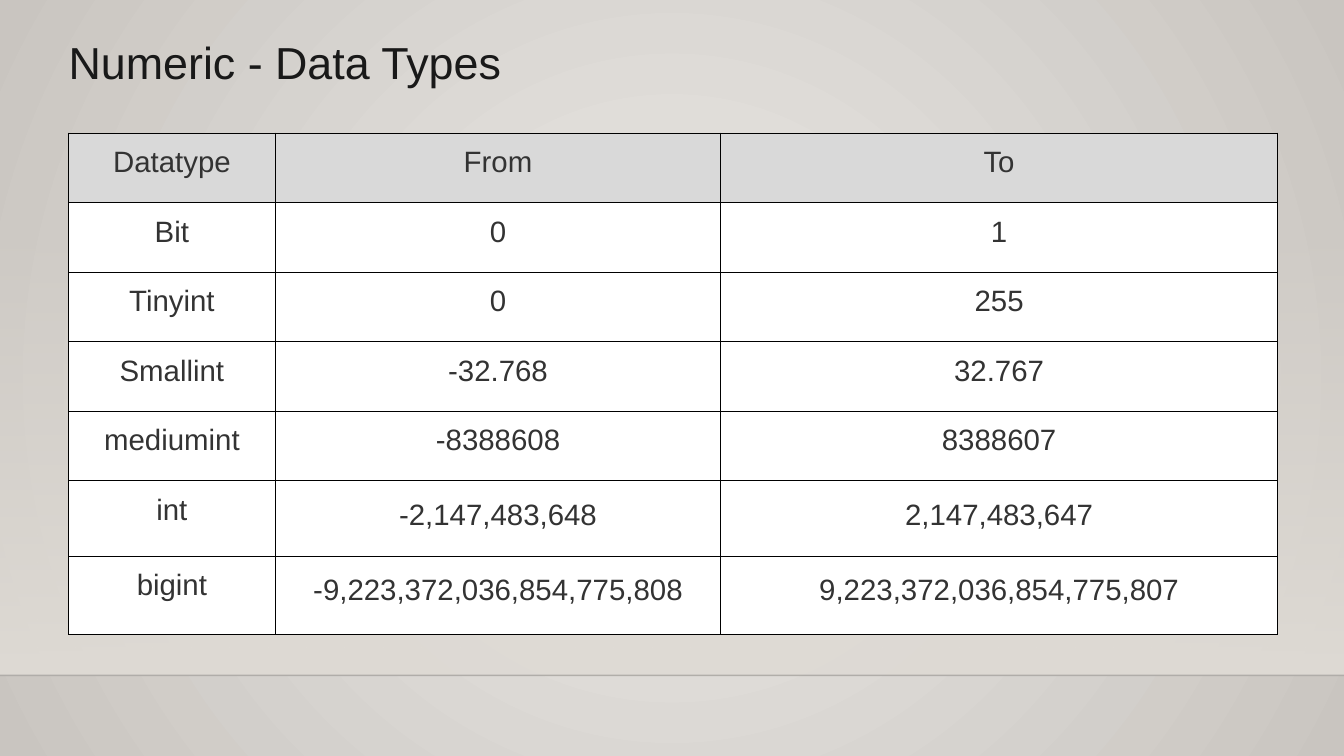
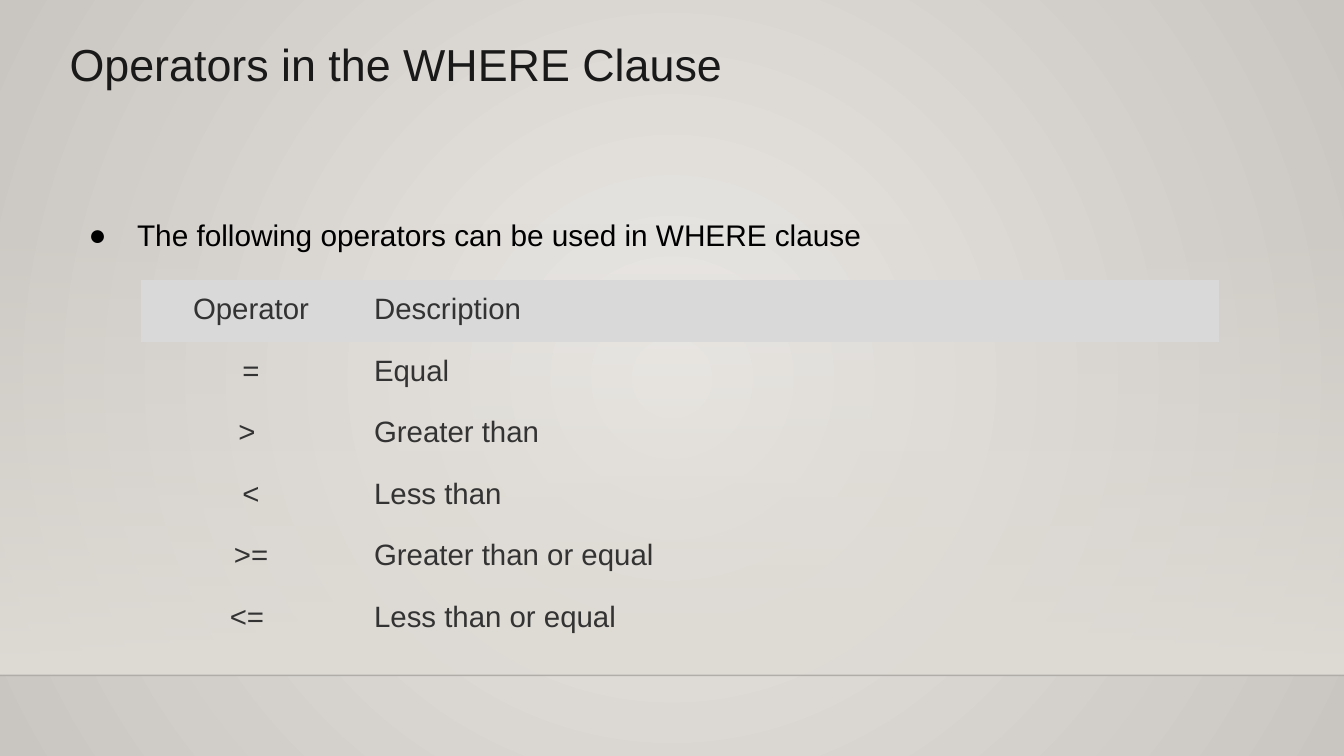
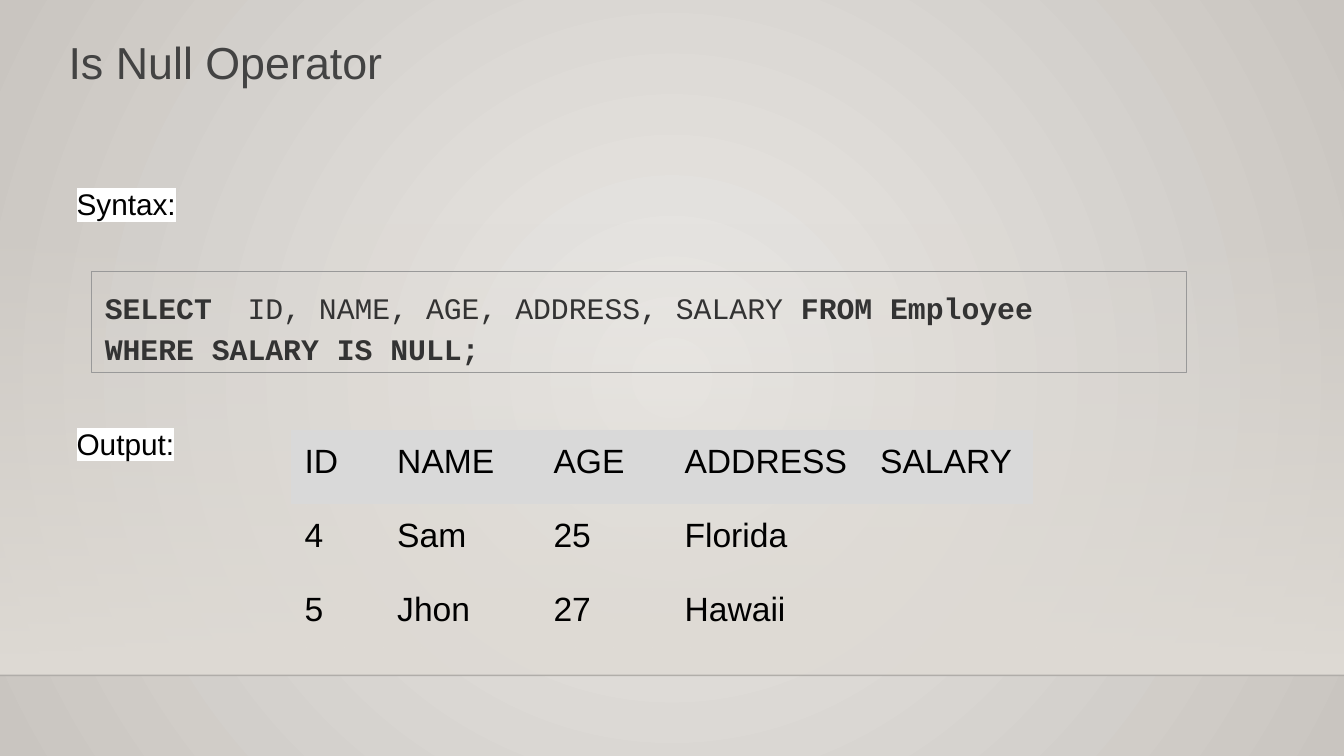
from lxml import etree
from pptx import Presentation
from pptx.dml.color import RGBColor
from pptx.enum.shapes import MSO_CONNECTOR, MSO_SHAPE
from pptx.enum.text import MSO_ANCHOR, MSO_AUTO_SIZE, PP_ALIGN
from pptx.oxml import parse_xml
from pptx.oxml.ns import nsdecls, qn
from pptx.util import Inches, Pt

RECTANGLE = MSO_SHAPE.RECTANGLE
STRAIGHT = MSO_CONNECTOR.STRAIGHT
TOP = MSO_ANCHOR.TOP
NO_AUTOFIT = MSO_AUTO_SIZE.NONE
LEFT, CENTER, JUSTIFY = PP_ALIGN.LEFT, PP_ALIGN.CENTER, PP_ALIGN.JUSTIFY

BLACK = RGBColor(0x00, 0x00, 0x00)
WHITE = RGBColor(0xFF, 0xFF, 0xFF)
INK = RGBColor(0x19, 0x19, 0x19)
CHARCOAL = RGBColor(0x33, 0x33, 0x33)
SLATE = RGBColor(0x43, 0x43, 0x43)
BORDER_GRAY = RGBColor(0x99, 0x99, 0x99)
HEADER_GRAY = RGBColor(0xD9, 0xD9, 0xD9)
BAND = RGBColor(0xDF, 0xDB, 0xD5)
GLOW = RGBColor(0xEB, 0xE9, 0xE6)
EDGE = RGBColor(0xC9, 0xC5, 0xC0)
RULE = RGBColor(0x00, 0x00, 0x01)

SLIDE_WIDTH = Inches(13.33)
BAND_BOTTOM = Inches(6.7)
INSET = Inches(0.13)
BODY_SIZE = 21.3
PLAIN_TABLE = "{2D5ABB26-0587-4C30-8999-92F81FD0307C}"


def set_insets(box):
    """Give a text frame or a table cell the deck's margins, text at the top."""
    box.margin_left = box.margin_right = INSET
    box.margin_top = box.margin_bottom = INSET
    box.vertical_anchor = TOP
    box.word_wrap = True


def write_line(para, spans, size, color, font="Arial", align=LEFT, spacing=1.0):
    """Fill a paragraph with (text, bold) spans."""
    para.alignment = align
    para.line_spacing = spacing
    para.space_before = Pt(0)
    for text, bold in spans:
        span = para.add_run()
        span.text = text
        span.font.size = Pt(size)
        span.font.name = font
        span.font.bold = bold
        span.font.color.rgb = color


deck = Presentation()
deck.slide_width = SLIDE_WIDTH
deck.slide_height = Inches(7.5)

# Titles
BODY_LAYOUT, TITLE_LAYOUT = deck.slide_layouts[1], deck.slide_layouts[5]
slides = []
for layout, title, left, top, color in (
    (TITLE_LAYOUT, "Numeric - Data Types", 0.55, 0.21, INK),
    (BODY_LAYOUT, "Operators in the WHERE Clause", 0.56, 0.23, INK),
    (TITLE_LAYOUT, "Is Null Operator", 0.55, 0.21, SLATE),
):
    slide = deck.slides.add_slide(layout)
    box = slide.shapes.title
    box.left, box.top = Inches(left), Inches(top)
    box.width, box.height = Inches(10.86), Inches(0.77)
    set_insets(box.text_frame)
    box.text_frame.auto_size = NO_AUTOFIT
    write_line(box.text_frame.paragraphs[0], [(title, False)], 32, color)
    slides.append(slide)
types_slide, operators_slide, null_slide = slides

# Shared backdrop, kept on the slide master
master = deck.slide_master
backdrop = master.background.fill
backdrop.gradient()
for stop, color in zip(backdrop.gradient_stops, (GLOW, EDGE)):
    stop.color.rgb = color
for position, stop in enumerate(backdrop.gradient_stops):
    stop.position = position
linear = master.element.find(".//" + qn("p:bg")).find(".//" + qn("a:lin"))
linear.getparent().replace(linear, parse_xml(
    f'<a:path {nsdecls("a")} path="circle">'
    '<a:fillToRect l="50000" t="50000" r="50000" b="50000"/></a:path>'))

band = types_slide.shapes.add_shape(
    RECTANGLE, 0, Inches(2.21), SLIDE_WIDTH, BAND_BOTTOM - Inches(2.21))
band.shadow.inherit = False
band.line.fill.background()
band.fill.gradient()
band.fill.gradient_angle = 270
for position, stop in enumerate(band.fill.gradient_stops):
    stop.color.rgb = BAND
    stop.position = position

rule = types_slide.shapes.add_connector(
    STRAIGHT, 0, BAND_BOTTOM, SLIDE_WIDTH, BAND_BOTTOM)
rule.line.color.rgb = RULE
rule.line.width = Pt(1)
etree.SubElement(rule.element.find(qn("p:spPr")), qn("a:effectLst"))

for shape, opacity in ((band, 0), (rule, 20000)):
    color_node = shape.element.find(".//" + qn("a:srgbClr"))
    etree.SubElement(color_node, qn("a:alpha"), val=str(opacity))
for index, shape in enumerate((band, rule), start=2):
    master.shapes.element.insert(index, shape.element)

# Bullet above the operator table
bullet = operators_slide.placeholders[1]
bullet.left, bullet.top = Inches(0.56), Inches(1.97)
bullet.width, bullet.height = Inches(8.2), Inches(0.61)
set_insets(bullet.text_frame)
bullet.text_frame.auto_size = NO_AUTOFIT
para = bullet.text_frame.paragraphs[0]
write_line(para, [("The following operators can be used in WHERE clause", False)],
           BODY_SIZE, BLACK, spacing=1.15)
bullet_format = para.runs[0]._r.getparent().get_or_add_pPr()
bullet_format.set("marL", str(Inches(0.67)))
bullet_format.set("indent", str(Inches(-0.48)))
for node in (f'<a:buClr {nsdecls("a")}><a:srgbClr val="{BLACK}"/></a:buClr>',
             f'<a:buFont {nsdecls("a")} typeface="Arial"/>',
             f'<a:buChar {nsdecls("a")} char="●"/>'):
    bullet_format.append(parse_xml(node))

# Highlighted labels and the query
for label, top in (("Syntax:", 1.71), ("Output:", 4.09)):
    box = null_slide.shapes.add_textbox(
        Inches(0.63), Inches(top), Inches(1.42), Inches(0.6))
    set_insets(box.text_frame)
    para = box.text_frame.paragraphs[0]
    write_line(para, [(label, False)], BODY_SIZE, BLACK, align=JUSTIFY)
    color_node = para.runs[0]._r.find(".//" + qn("a:solidFill"))
    color_node.addnext(parse_xml(
        f'<a:highlight {nsdecls("a")}><a:srgbClr val="{WHITE}"/></a:highlight>'))

query = null_slide.shapes.add_shape(
    RECTANGLE, Inches(0.91), Inches(2.69), Inches(10.86), Inches(1.01))
query.shadow.inherit = False
query.fill.background()
query.line.color.rgb = BORDER_GRAY
query.line.width = Pt(0.75)
set_insets(query.text_frame)
for index, spans in enumerate((
    [("SELECT", True), ("  ID, NAME, AGE, ADDRESS, SALARY ", False),
     ("FROM Employee", True)],
    [("WHERE SALARY IS NULL;", True)],
)):
    frame = query.text_frame
    para = frame.add_paragraph() if index else frame.paragraphs[0]
    write_line(para, spans, BODY_SIZE, CHARCOAL, "Courier New", spacing=1.15)

# Tables
tables = [
    {
        "slide": types_slide, "at": (0.68, 1.32), "size": 21, "color": CHARCOAL,
        "columns": (2.05, 4.42, 5.52), "heights": [0.69] * 5 + [0.75, 0.78],
        "centered": (0, 1, 2), "grid": True,
        "rows": (
            ("Datatype", "From", "To"),
            ("Bit", "0", "1"),
            ("Tinyint", "0", "255"),
            ("Smallint", "-32.768", "32.767"),
            ("mediumint", "-8388608", "8388607"),
            ("int", "-2,147,483,648", "2,147,483,647"),
            ("bigint", "-9,223,372,036,854,775,808", "9,223,372,036,854,775,807"),
        ),
    },
    {
        "slide": operators_slide, "at": (1.4, 2.78), "size": 21, "color": CHARCOAL,
        "columns": (2.18, 8.51), "heights": [0.61] * 6,
        "centered": (0,), "grid": False,
        "rows": (
            ("Operator", "Description"),
            ("=", "Equal"),
            ("> ", "Greater than"),
            ("<", "Less than"),
            (">=", "Greater than or equal"),
            ("<= ", "Less than or equal"),
        ),
    },
    {
        "slide": null_slide, "at": (2.89, 4.27), "size": 24, "color": BLACK,
        "columns": (0.92, 1.55, 1.3, 1.94, 1.65), "heights": [0.73] * 3,
        "centered": (), "grid": False,
        "rows": (
            ("ID", "NAME", "AGE", "ADDRESS", "SALARY"),
            ("4", "Sam", "25", "Florida", ""),
            ("5", "Jhon", "27", "Hawaii", ""),
        ),
    },
]
for data in tables:
    left, top = data["at"]
    widths, heights, rows = data["columns"], data["heights"], data["rows"]
    holder = data["slide"].shapes.add_table(
        len(rows), len(widths), Inches(left), Inches(top),
        Inches(sum(widths)), Inches(sum(heights)))
    table = holder.table
    table.first_row = table.horz_banding = False
    holder.element.find(".//" + qn("a:tableStyleId")).text = PLAIN_TABLE
    for column, width in zip(table.columns, widths):
        column.width = Inches(width)
    for row_index, texts in enumerate(rows):
        table.rows[row_index].height = Inches(heights[row_index])
        for column_index, text in enumerate(texts):
            cell = table.cell(row_index, column_index)
            set_insets(cell)
            if data["grid"]:
                cell_format = cell._tc.get_or_add_tcPr()
                for side in ("lnL", "lnR", "lnT", "lnB"):
                    cell_format.append(parse_xml(
                        f'<a:{side} {nsdecls("a")} w="{Pt(0.75)}"><a:solidFill>'
                        f'<a:srgbClr val="{BLACK}"/></a:solidFill></a:{side}>'))
            if row_index == 0 or data["grid"]:
                cell.fill.solid()
                cell.fill.fore_color.rgb = WHITE if row_index else HEADER_GRAY
            else:
                cell.fill.background()
            if text:
                write_line(
                    cell.text_frame.paragraphs[0], [(text, False)],
                    data["size"], data["color"],
                    align=CENTER if column_index in data["centered"] else LEFT,
                    spacing=1.15 if "," in text else 1.0)

deck.save("out.pptx")
